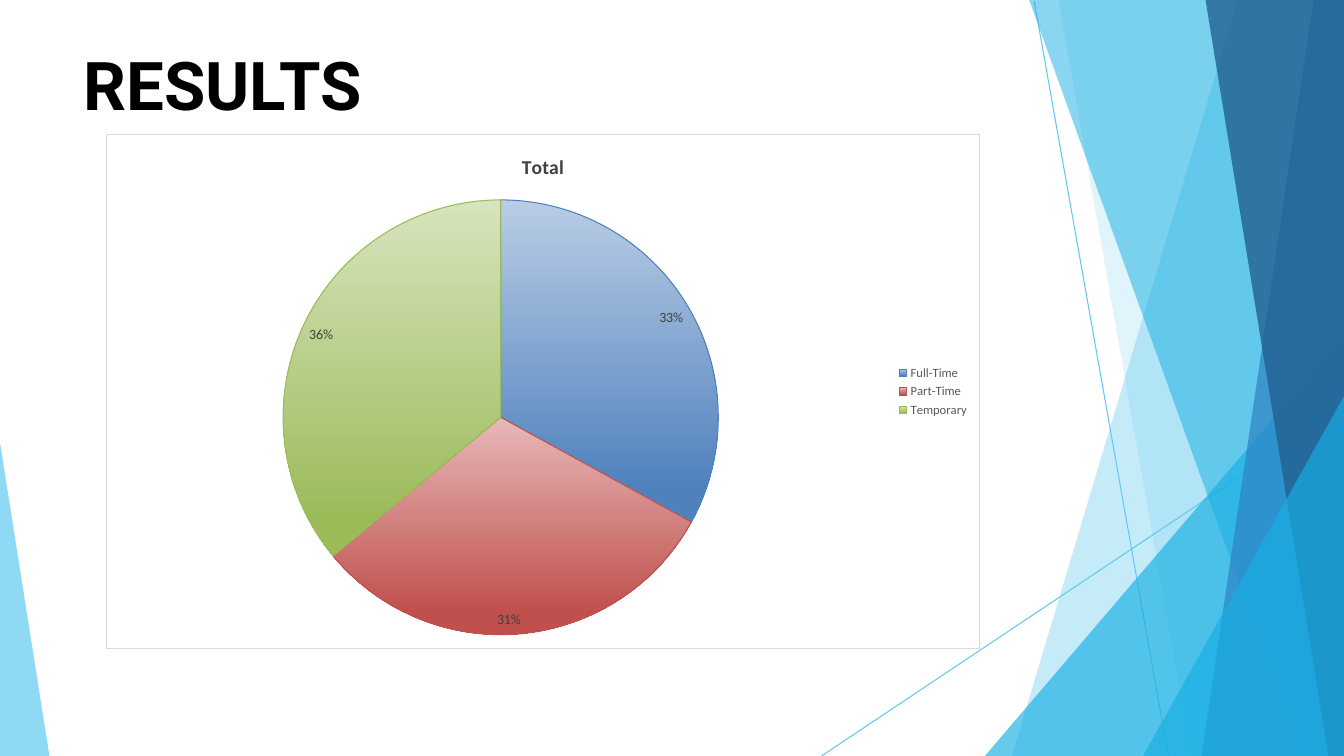
from dataclasses import dataclass

from lxml import etree
from pptx import Presentation
from pptx import util as u
from pptx.chart.data import CategoryChartData
from pptx.dml.color import RGBColor
from pptx.enum import chart as ch, shapes, text
from pptx.oxml import parse_xml
from pptx.oxml.ns import qn

WIDE, HIGH = u.Inches(13.333), u.Inches(7.5)
SKY, AQUA = "5FCAEE", "17AFE3"


@dataclass
class Ray:
    start: tuple[float, float]
    end: tuple[float, float]


@dataclass
class Facet:
    points: list[tuple[float, float]]
    color: str
    alpha: int


@dataclass
class Slice:
    name: str
    value: int
    light: str
    dark: str


RAYS = [Ray((76.95, 0.13), (86.93, 100)), Ray((100, 53.87), (61.13, 100))]
FACETS = [
    Facet([(100, 0), (92.1, 0), (75.3, 100), (100, 100)], SKY, 36),
    Facet([(100, 0), (78.75, 0), (88.65, 100), (100, 100)], SKY, 20),
    Facet([(100, 44.4), (73.28, 100), (100, 100)], AQUA, 66),
    Facet([(100, 0), (76.58, 0), (96.83, 100), (100, 100)], AQUA, 50),
    Facet([(100, 0), (97.73, 0), (89.4, 100), (100, 100)], "2D83C3", 70),
    Facet([(100, 0), (89.7, 0), (98.85, 100), (100, 100)], "226192", 80),
    Facet([(100, 52.4), (85.05, 100), (100, 100)], AQUA, 66),
    Facet([(0, 58.53), (0, 100), (3.68, 100)], SKY, 70),
]
SLICES = [
    Slice("Full-Time", 33, "B9CDE5", "4F81BD"),
    Slice("Part-Time", 31, "E6B9B8", "C0504D"),
    Slice("Temporary", 36, "D7E4BD", "9BBB59"),
]


def rgb(code: str) -> RGBColor:
    return RGBColor.from_string(code)


def spot(x: float, y: float) -> tuple[int, int]:
    return round(WIDE * x / 100), round(HIGH * y / 100)


def style(font, size: float, color: str, face: str = "Calibri", bold: bool = False) -> None:
    font.size, font.name, font.bold = u.Pt(size), face, bold
    font.color.rgb = rgb(color)


def write(frame, words: str, **form) -> None:
    frame.text = words
    style(frame.paragraphs[0].runs[0].font, **form)


def draw_ray(slide, ray: Ray) -> None:
    line = slide.shapes.add_connector(
        shapes.MSO_CONNECTOR.STRAIGHT, *spot(*ray.start), *spot(*ray.end))
    line.line.color.rgb = rgb(SKY)
    line.line.width = u.Pt(0.75)
    etree.SubElement(line._element.spPr, qn("a:effectLst"))


def draw_facet(slide, facet: Facet) -> None:
    first, *rest = [spot(*point) for point in facet.points]
    pen = slide.shapes.build_freeform(*first)
    pen.add_line_segments(rest, close=True)
    shape = pen.convert_to_shape()
    shape.shadow.inherit = False
    shape.line.fill.background()
    shape.fill.solid()
    shape.fill.fore_color.rgb = rgb(facet.color)
    tint = shape._element.spPr.find(".//" + qn("a:srgbClr"))
    etree.SubElement(tint, qn("a:alpha")).set("val", str(facet.alpha * 1000))


def draw_title(slide, words: str) -> None:
    title = slide.shapes.title
    slide.shapes._spTree.append(title._element)
    title.left, title.top = spot(6.23, 5.6)
    title.width, title.height = spot(87.6, 10.8)
    frame = title.text_frame
    frame.margin_left = frame.margin_right = frame.margin_top = frame.margin_bottom = 0
    frame.vertical_anchor = text.MSO_ANCHOR.MIDDLE
    write(frame, words, size=48, color="000000", face="Roboto", bold=True)
    frame.paragraphs[0].alignment = text.PP_ALIGN.LEFT


def frame_chart(chart, fill: str, edge: str) -> None:
    panel = parse_xml(
        '<c:spPr xmlns:c="http://schemas.openxmlformats.org/drawingml/2006/chart"'
        ' xmlns:a="http://schemas.openxmlformats.org/drawingml/2006/main">'
        f'<a:solidFill><a:srgbClr val="{fill}"/></a:solidFill>'
        f'<a:ln w="{u.Pt(0.75)}"><a:solidFill><a:srgbClr val="{edge}"/></a:solidFill></a:ln>'
        '</c:spPr>')
    chart._chartSpace.find(qn("c:chart")).addnext(panel)


def paint_slice(point, part: Slice) -> None:
    fill = point.format.fill
    fill.gradient()
    fill.gradient_angle = 270
    for stop, place, color in zip(fill.gradient_stops, (0, 0.9), (part.light, part.dark)):
        stop.position = place
        stop.color.rgb = rgb(color)
    point.format.line.color.rgb = rgb(part.dark)
    point.format.line.width = u.Pt(0.75)


def draw_pie(slide, parts: list[Slice]) -> None:
    data = CategoryChartData()
    data.categories = [part.name for part in parts]
    data.add_series("Total", [part.value for part in parts])
    chart = slide.shapes.add_chart(
        ch.XL_CHART_TYPE.PIE, *spot(7.88, 17.73), *spot(65.03, 68.13), data).chart
    style(chart.font, 10, "000000")
    frame_chart(chart, "FFFFFF", "D9D9D9")
    chart.has_title = True
    write(chart.chart_title.text_frame, "Total", size=14, color="404040", bold=True)
    chart.chart_title.include_in_layout = False
    chart.has_legend = True
    chart.legend.position = ch.XL_LEGEND_POSITION.RIGHT
    chart.legend.include_in_layout = False
    style(chart.legend.font, 9, "595959")
    plot = chart.plots[0]
    plot.vary_by_categories = True
    for rank, part in enumerate(parts):
        paint_slice(plot.series[0].points[rank], part)
    tags = plot.series[0].data_labels
    tags.show_value, tags.show_percentage = False, True
    tags.number_format, tags.number_format_is_linked = "0%", False
    tags.position = ch.XL_LABEL_POSITION.INSIDE_END
    style(tags.font, 10, "404040")


def main() -> None:
    deck = Presentation()
    deck.slide_width, deck.slide_height = WIDE, HIGH
    slide = deck.slides.add_slide(deck.slide_layouts[5])
    for ray in RAYS:
        draw_ray(slide, ray)
    for facet in FACETS:
        draw_facet(slide, facet)
    draw_title(slide, "RESULTS")
    draw_pie(slide, SLICES)
    deck.save("out.pptx")


if __name__ == "__main__":
    main()
